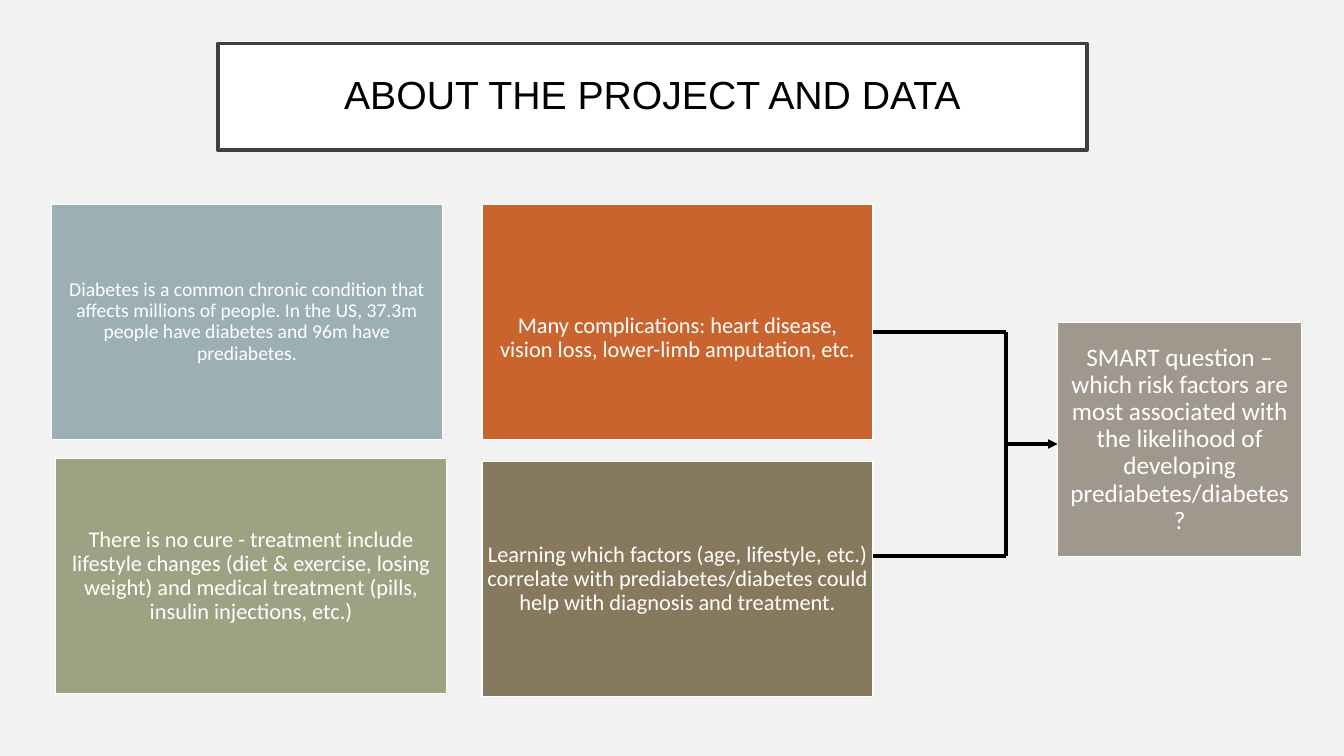
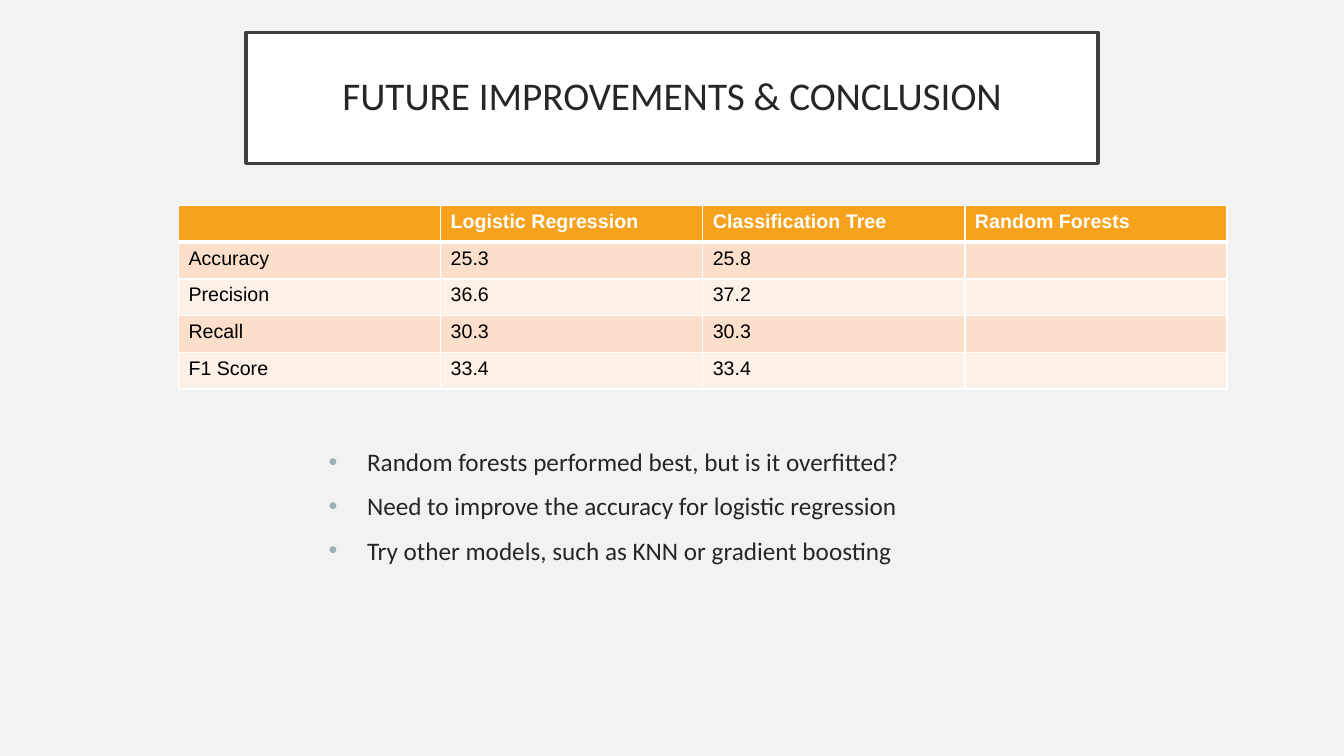
import collections

import lxml.etree
import pptx
import pptx.dml.color
import pptx.enum.shapes
import pptx.enum.text
import pptx.oxml.ns
import pptx.util

RGB = pptx.dml.color.RGBColor
Inches = pptx.util.Inches
Pt = pptx.util.Pt
ALIGN = pptx.enum.text.PP_ALIGN
ANCHOR = pptx.enum.text.MSO_ANCHOR
qn = pptx.oxml.ns.qn

BACKGROUND = RGB(0xF2, 0xF2, 0xF2)
WHITE = RGB(0xFF, 0xFF, 0xFF)
BLACK = RGB(0x00, 0x00, 0x00)
INK = RGB(0x26, 0x26, 0x26)
FRAME = RGB(0x40, 0x40, 0x40)
BLUE_GRAY = RGB(0x9B, 0xAF, 0xB5)
RUST = RGB(0xC9, 0x64, 0x2E)
SAGE = RGB(0x9C, 0xA3, 0x83)
OLIVE = RGB(0x87, 0x79, 0x5D)
TAUPE = RGB(0xA0, 0x98, 0x8C)
AMBER = RGB(0xF6, 0xA2, 0x1D)
BANDS = (RGB(0xFD, 0xF0, 0xE7), RGB(0xFB, 0xDF, 0xCB))

SLIDE_WIDTH, SLIDE_HEIGHT = 13.33, 7.5
TITLE_AND_BODY, TITLE_ONLY = 1, 5

Box = collections.namedtuple("Box", "left top width height")
Tile = collections.namedtuple("Tile", "box color text size inset top_extra")

TILE_WIDTH, TILE_HEIGHT = 3.88, 2.33
TILES = (
    Tile(Box(0.51, 2.03, TILE_WIDTH, TILE_HEIGHT), BLUE_GRAY,
         "Diabetes is a common chronic condition that affects millions of people. "
         "In the US, 37.3m people have diabetes and 96m have prediabetes.", 14, 0.06, 0),
    Tile(Box(4.78, 2.03, TILE_WIDTH, TILE_HEIGHT), RUST,
         "Many complications: heart disease, vision loss, lower-limb amputation, etc.",
         16, 0.07, 0.32),
    Tile(Box(0.55, 4.55, TILE_WIDTH, TILE_HEIGHT), SAGE,
         "There is no cure - treatment include lifestyle changes (diet & exercise, losing "
         "weight) and medical treatment (pills, insulin injections, etc.)", 16, 0.07, 0),
    Tile(Box(4.78, 4.58, TILE_WIDTH, TILE_HEIGHT), OLIVE,
         "Learning which factors (age, lifestyle, etc.) correlate with "
         "prediabetes/diabetes could help with diagnosis and treatment.", 16, 0.05, 0),
    Tile(Box(10.49, 3.2, 2.42, 2.32), TAUPE,
         "SMART question – which risk factors are most associated with the likelihood "
         "of developing prediabetes/diabetes?", 18, 0.07, 0),
)

SCORES = (
    ("", "Logistic Regression", "Classification Tree", "Random Forests"),
    ("Accuracy", "25.3", "25.8", ""),
    ("Precision", "36.6", "37.2", ""),
    ("Recall", "30.3", "30.3", ""),
    ("F1 Score", "33.4", "33.4", ""),
)
CONCLUSIONS = (
    "Random forests performed best, but is it overfitted?",
    "Need to improve the accuracy for logistic regression",
    "Try other models, such as KNN or gradient boosting",
)


def write(paragraph, text, *, size, font="Calibri", color=INK, bold=False,
          align=ALIGN.LEFT, line_spacing=1.0, space_before=0):
    paragraph.alignment = align
    paragraph.line_spacing = line_spacing
    paragraph.space_before = Pt(space_before)
    if not text:
        # An empty paragraph takes its height from its end mark.
        lxml.etree.SubElement(paragraph._p, qn("a:endParaRPr"), sz=str(size * 100))
        return
    run = paragraph.add_run()
    run.text = text
    run.font.size = Pt(size)
    run.font.name = font
    run.font.bold = bold
    run.font.color.rgb = color


def place(shape, box):
    shape.left, shape.top, shape.width, shape.height = map(Inches, box)


def paint(shape, fill, line, width):
    shape.fill.solid()
    shape.fill.fore_color.rgb = fill
    shape.line.color.rgb = line
    shape.line.width = Pt(width)


def set_frame(frame, anchor, horizontal, vertical, top_extra=0):
    frame.word_wrap = True
    frame.auto_size = pptx.enum.text.MSO_AUTO_SIZE.NONE
    frame.vertical_anchor = anchor
    frame.margin_left = frame.margin_right = Inches(horizontal)
    frame.margin_top = Inches(vertical + top_extra)
    frame.margin_bottom = Inches(vertical)


def add_title(slide, box, text, **text_format):
    title = slide.shapes.title
    place(title, box)
    paint(title, WHITE, FRAME, 2.5)
    set_frame(title.text_frame, ANCHOR.MIDDLE, 0.2, 0.2)
    write(title.text_frame.paragraphs[0], text, size=28, align=ALIGN.CENTER,
          line_spacing=0.9, **text_format)


def add_tile(slide, tile):
    rectangle = slide.shapes.add_shape(
        pptx.enum.shapes.MSO_SHAPE.RECTANGLE, *map(Inches, tile.box))
    rectangle.shadow.inherit = False
    paint(rectangle, tile.color, WHITE, 1)
    set_frame(rectangle.text_frame, ANCHOR.MIDDLE, tile.inset, tile.inset, tile.top_extra)
    write(rectangle.text_frame.paragraphs[0], tile.text, size=tile.size, color=WHITE,
          align=ALIGN.CENTER, line_spacing=0.9)


def add_line(slide, start, end, width, arrow=False):
    line = slide.shapes.add_connector(
        pptx.enum.shapes.MSO_CONNECTOR.STRAIGHT, *map(Inches, start + end))
    line.line.color.rgb = BLACK
    line.line.width = Pt(width)
    properties = line._element.spPr
    if arrow:
        lxml.etree.SubElement(properties.find(qn("a:ln")), qn("a:tailEnd"), type="triangle")
    lxml.etree.SubElement(properties, qn("a:effectLst"))


def add_bracket(slide, box):
    """Join the top and bottom of the box's left side and point to its right side."""
    spine = box.left + box.width * 0.72
    bottom = box.top + box.height
    middle = box.top + box.height / 2
    for y in (box.top, bottom):
        add_line(slide, (box.left, y), (spine, y), 3)
    add_line(slide, (spine, box.top), (spine, bottom), 3)
    add_line(slide, (spine, middle), (box.left + box.width, middle), 2.25, arrow=True)


def set_borders(cell, row):
    """White cell edges, thicker between the header and the first row."""
    edges = {"lnL": 1, "lnR": 1, "lnT": 3 if row == 1 else 1, "lnB": 3 if row == 0 else 1}
    properties = cell._tc.get_or_add_tcPr()
    for tag, width in edges.items():
        edge = lxml.etree.SubElement(properties, qn("a:" + tag), w=str(Pt(width)))
        fill = lxml.etree.SubElement(edge, qn("a:solidFill"))
        lxml.etree.SubElement(fill, qn("a:srgbClr"), val=str(WHITE))


def add_score_table(slide, box, rows):
    table = slide.shapes.add_table(len(rows), len(rows[0]), *map(Inches, box)).table
    for row, values in enumerate(rows):
        header = row == 0
        for column, value in enumerate(values):
            cell = table.cell(row, column)
            set_borders(cell, row)
            cell.fill.solid()
            cell.fill.fore_color.rgb = AMBER if header else BANDS[row % 2]
            write(cell.text_frame.paragraphs[0], value, size=14, font="Arial",
                  color=WHITE if header else BLACK, bold=header)


def add_bullet(paragraph, color):
    properties = paragraph._p.get_or_add_pPr()
    properties.set("marL", str(Inches(0.5)))
    properties.set("indent", str(Inches(-0.38)))
    bullet_color = lxml.etree.SubElement(properties, qn("a:buClr"))
    lxml.etree.SubElement(bullet_color, qn("a:srgbClr"), val=str(color))
    lxml.etree.SubElement(properties, qn("a:buFont"), typeface="Arial")
    lxml.etree.SubElement(properties, qn("a:buChar"), char="•")


def add_bullet_list(slide, box, items):
    body = slide.placeholders[1]
    place(body, box)
    frame = body.text_frame
    set_frame(frame, ANCHOR.TOP, 0.1, 0.05)
    for index, item in enumerate(items):
        paragraph = frame.add_paragraph() if index else frame.paragraphs[0]
        write(paragraph, item, size=18, space_before=10)
        add_bullet(paragraph, BLUE_GRAY)


def build_project_slide(deck):
    slide = deck.slides.add_slide(deck.slide_layouts[TITLE_ONLY])
    add_title(slide, Box(2.16, 0.43, 8.62, 1.06), "ABOUT THE PROJECT AND DATA",
              font="Arial", color=BLACK)
    for tile in TILES:
        add_tile(slide, tile)
    add_bracket(slide, Box(8.66, 3.29, 1.83, 2.23))


def build_conclusion_slide(deck):
    slide = deck.slides.add_slide(deck.slide_layouts[TITLE_AND_BODY])
    add_title(slide, Box(2.44, 0.32, 8.45, 1.3), "FUTURE IMPROVEMENTS & CONCLUSION")
    add_bullet_list(slide, Box(3.04, 4.38, 6.8, 2.65), CONCLUSIONS)
    add_score_table(slide, Box(1.77, 2.04, 10.4, 1.82), SCORES)


def main():
    deck = pptx.Presentation()
    deck.slide_width = Inches(SLIDE_WIDTH)
    deck.slide_height = Inches(SLIDE_HEIGHT)
    background = deck.slide_master.background.fill
    background.solid()
    background.fore_color.rgb = BACKGROUND
    build_project_slide(deck)
    build_conclusion_slide(deck)
    deck.save("out.pptx")


if __name__ == "__main__":
    main()
